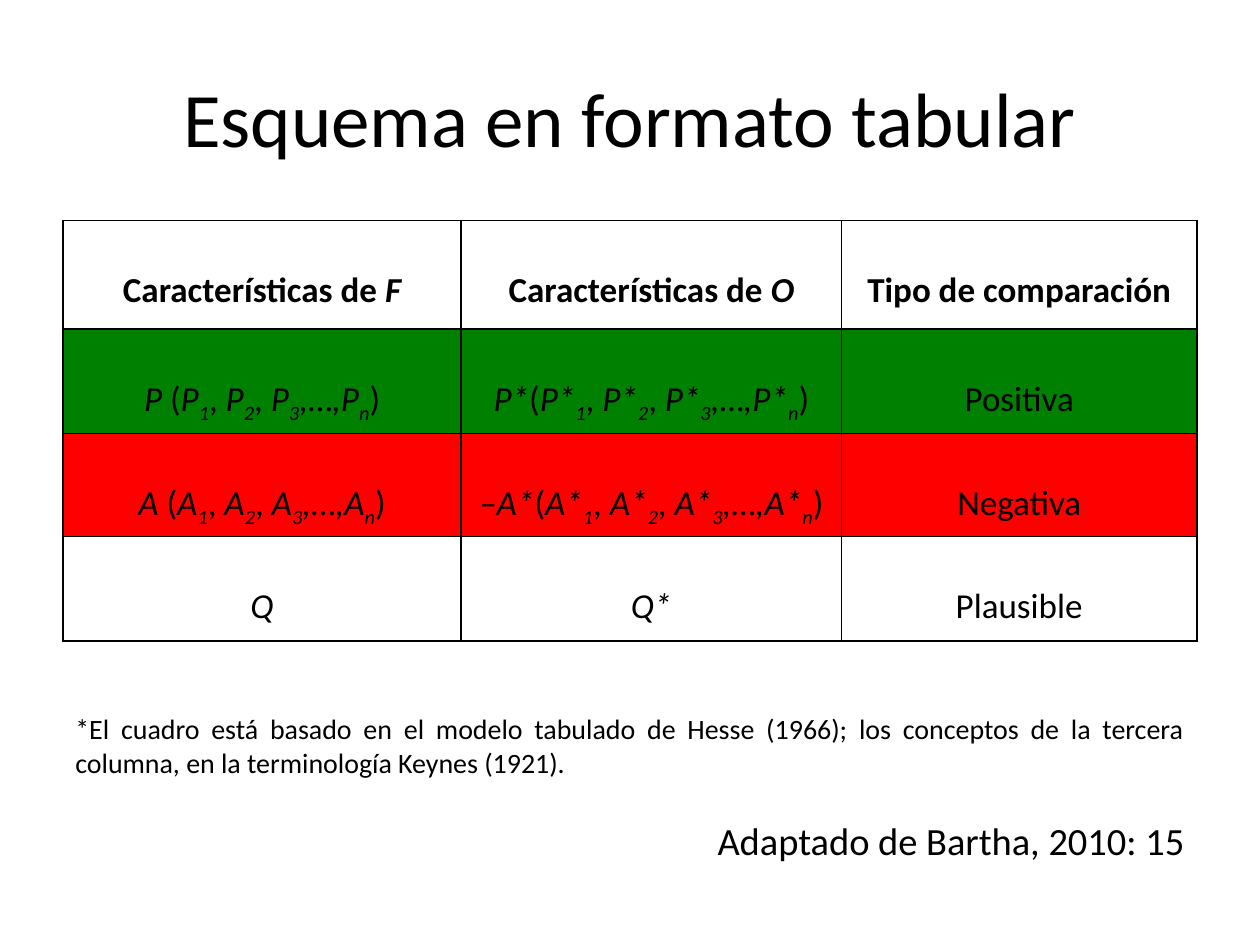
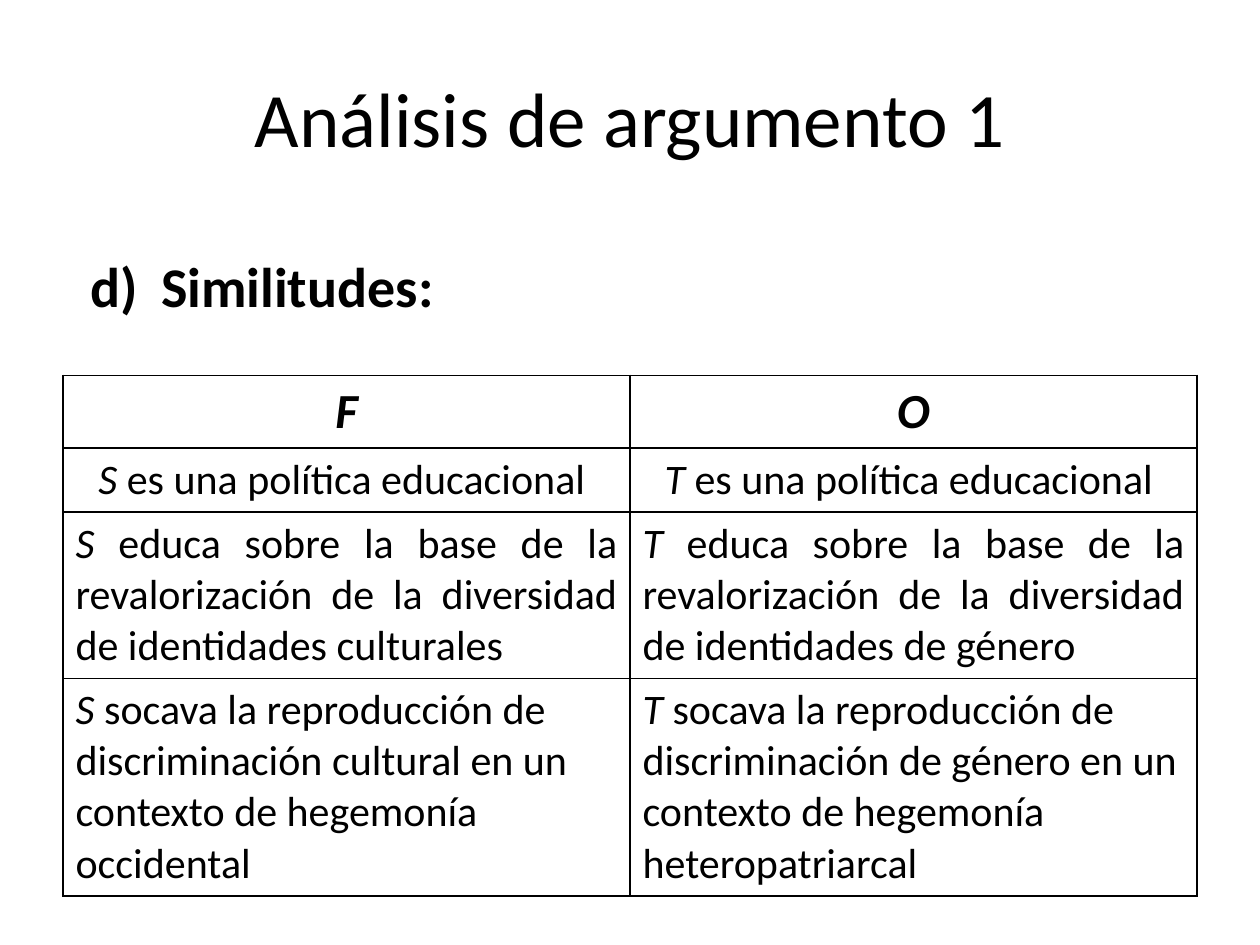
import dataclasses
import typing

import lxml.etree
import pptx
import pptx.dml.color
import pptx.enum.text
import pptx.oxml.ns
import pptx.util

ALIGN = pptx.enum.text.PP_ALIGN
FONT = "Calibri"
BLACK = "000000"
WHITE = "FFFFFF"
GREEN = "008000"
RED = "FF0000"
SLIDE_WIDTH = pptx.util.Inches(10)
SLIDE_HEIGHT = pptx.util.Inches(7.5)
GRID_COLUMNS = 20
GRID_ROWS = 15
TITLE_ONLY = 5


class Run(typing.NamedTuple):
    text: str
    italic: bool = False
    subscript: bool = False


Runs = list[Run]


@dataclasses.dataclass(frozen=True)
class Area:
    column: float
    row: float
    columns: float
    rows: float

    def box(self) -> tuple[int, int, int, int]:
        return (across(self.column), down(self.row),
                across(self.columns), down(self.rows))


@dataclasses.dataclass(frozen=True)
class TableRow:
    cells: list[Runs]
    height: float
    size: float
    align: ALIGN = ALIGN.CENTER
    fill: str = WHITE
    bold: bool = False


@dataclasses.dataclass(frozen=True)
class TableDesign:
    column: float
    row: float
    widths: list[float]
    rows: list[TableRow]
    margin_top: float = 0.05


def across(columns: float) -> int:
    return round(SLIDE_WIDTH * columns / GRID_COLUMNS)


def down(rows: float) -> int:
    return round(SLIDE_HEIGHT * rows / GRID_ROWS)


def color(value: str) -> pptx.dml.color.RGBColor:
    return pptx.dml.color.RGBColor.from_string(value)


def plain(text: str) -> Runs:
    return [Run(text)]


def italic(text: str) -> Runs:
    return [Run(text, italic=True)]


def series(lead: str, term: str) -> Runs:
    runs = [Run(lead, True), Run("(")]
    for index, opening in enumerate((term, f" {term}", f" {term}"), 1):
        runs += [Run(opening, True), Run(str(index), True, True),
                 Run(",", index == 3)]
    return runs + [Run("…"), Run(f",{term}", True),
                   Run("n", True, True), Run(")")]


def write(paragraph, runs: Runs, size: float, align: ALIGN,
          bold: bool = False) -> None:
    paragraph.alignment = align
    for part in runs:
        run = paragraph.add_run()
        run.text = part.text
        font = run.font
        font.name, font.size = FONT, pptx.util.Pt(size)
        font.bold, font.italic = bold, part.italic
        font.color.rgb = color(BLACK)
        if part.subscript:
            run._r.get_or_add_rPr().set("baseline", "-25000")


def add_titled_slide(presentation, title: str):
    slide = presentation.slides.add_slide(presentation.slide_layouts[TITLE_ONLY])
    slide.background.fill.solid()
    slide.background.fill.fore_color.rgb = color(WHITE)
    shape = slide.shapes.title
    shape.left, shape.top, shape.width, shape.height = Area(1, 0.6, 18, 2.5).box()
    shape.text_frame.vertical_anchor = pptx.enum.text.MSO_ANCHOR.MIDDLE
    write(shape.text_frame.paragraphs[0], plain(title), 44, ALIGN.CENTER)
    return slide


def add_text_frame(slide, area: Area):
    text_frame = slide.shapes.add_textbox(*area.box()).text_frame
    text_frame.word_wrap = True
    text_frame.auto_size = pptx.enum.text.MSO_AUTO_SIZE.SHAPE_TO_FIT_TEXT
    return text_frame


def outline(cell) -> None:
    properties = cell._tc.get_or_add_tcPr()
    qualified = pptx.oxml.ns.qn
    for position, side in enumerate(("a:lnL", "a:lnR", "a:lnT", "a:lnB")):
        line = lxml.etree.Element(qualified(side), w=str(pptx.util.Pt(1)))
        fill = lxml.etree.SubElement(line, qualified("a:solidFill"))
        lxml.etree.SubElement(fill, qualified("a:srgbClr"), val=BLACK)
        properties.insert(position, line)


def add_table(slide, design: TableDesign) -> None:
    area = Area(design.column, design.row, sum(design.widths),
                sum(row.height for row in design.rows))
    table = slide.shapes.add_table(
        len(design.rows), len(design.widths), *area.box()).table
    table.first_row = table.horz_banding = False
    for column, width in zip(table.columns, design.widths):
        column.width = across(width)
    for table_row, row in zip(table.rows, design.rows):
        table_row.height = down(row.height)
        for cell, runs in zip(table_row.cells, row.cells):
            cell.margin_top = pptx.util.Inches(design.margin_top)
            cell.fill.solid()
            cell.fill.fore_color.rgb = color(row.fill)
            write(cell.text_frame.paragraphs[0], runs, row.size, row.align, row.bold)
            outline(cell)


def number_from(paragraph, start: int, indent: float) -> None:
    properties = paragraph._p.get_or_add_pPr()
    distance = pptx.util.Inches(indent)
    properties.set("marL", str(distance))
    properties.set("indent", str(-distance))
    lxml.etree.SubElement(properties, pptx.oxml.ns.qn("a:buAutoNum"),
                          type="alphaLcParenR", startAt=str(start))


def build_scheme(presentation) -> None:
    slide = add_titled_slide(presentation, "Esquema en formato tabular")
    heading = "Características de "
    add_table(slide, TableDesign(1, 3.5, [6.32, 6.04, 5.64], [
        TableRow([plain(heading) + italic("F"), plain(heading) + italic("O"),
                  plain("Tipo de comparación")], 1.72, 20, bold=True),
        TableRow([series("P ", "P"), series("P*", "P*"), plain("Positiva")],
                 1.66, 20, fill=GREEN),
        TableRow([series("A ", "A"), series("–A*", "A*"), plain("Negativa")],
                 1.63, 20, fill=RED),
        TableRow([italic("Q"), italic("Q*"), plain("Plausible")], 1.66, 20),
    ], margin_top=0.39))
    text_frame = add_text_frame(slide, Area(1, 11.2, 18, 2.62))
    write(text_frame.paragraphs[0], plain(
        "*El cuadro está basado en el modelo tabulado de Hesse (1966); los "
        "conceptos de la tercera columna, en la terminología Keynes (1921)."),
        16, ALIGN.JUSTIFY)
    credit = text_frame.add_paragraph()
    credit.space_before = pptx.util.Pt(22)
    write(credit, plain("Adaptado de Bartha, 2010: 15"), 22, ALIGN.RIGHT)


def build_similarities(presentation) -> None:
    slide = add_titled_slide(presentation, "Análisis de argumento 1")

    def claims(for_s: str, for_t: str) -> list[Runs]:
        return [italic("S ") + plain(for_s), italic("T ") + plain(for_t)]

    policy = "es una política educacional "
    teaches = "educa sobre la base de la revalorización de la diversidad de identidades "
    undermines = "socava la reproducción de discriminación "
    context = " en un contexto de hegemonía "
    add_table(slide, TableDesign(1, 5.96, [9, 9], [
        TableRow([italic("F"), italic("O")], 1.15, 28, bold=True),
        TableRow(claims(policy, policy), 1.01, 24),
        TableRow(claims(teaches + "culturales", teaches + "de género"),
                 2.64, 24, ALIGN.JUSTIFY),
        TableRow(claims(undermines + "cultural" + context + "occidental",
                        undermines + "de género" + context + "heteropatriarcal"),
                 3.46, 24, ALIGN.LEFT),
    ]))
    paragraph = add_text_frame(slide, Area(1.24, 3.9, 14.7, 1.28)).paragraphs[0]
    number_from(paragraph, 4, 0.56)
    write(paragraph, plain("Similitudes:"), 32, ALIGN.LEFT, bold=True)


def main() -> None:
    presentation = pptx.Presentation()
    presentation.slide_width = SLIDE_WIDTH
    presentation.slide_height = SLIDE_HEIGHT
    build_scheme(presentation)
    build_similarities(presentation)
    presentation.save("out.pptx")


if __name__ == "__main__":
    main()
